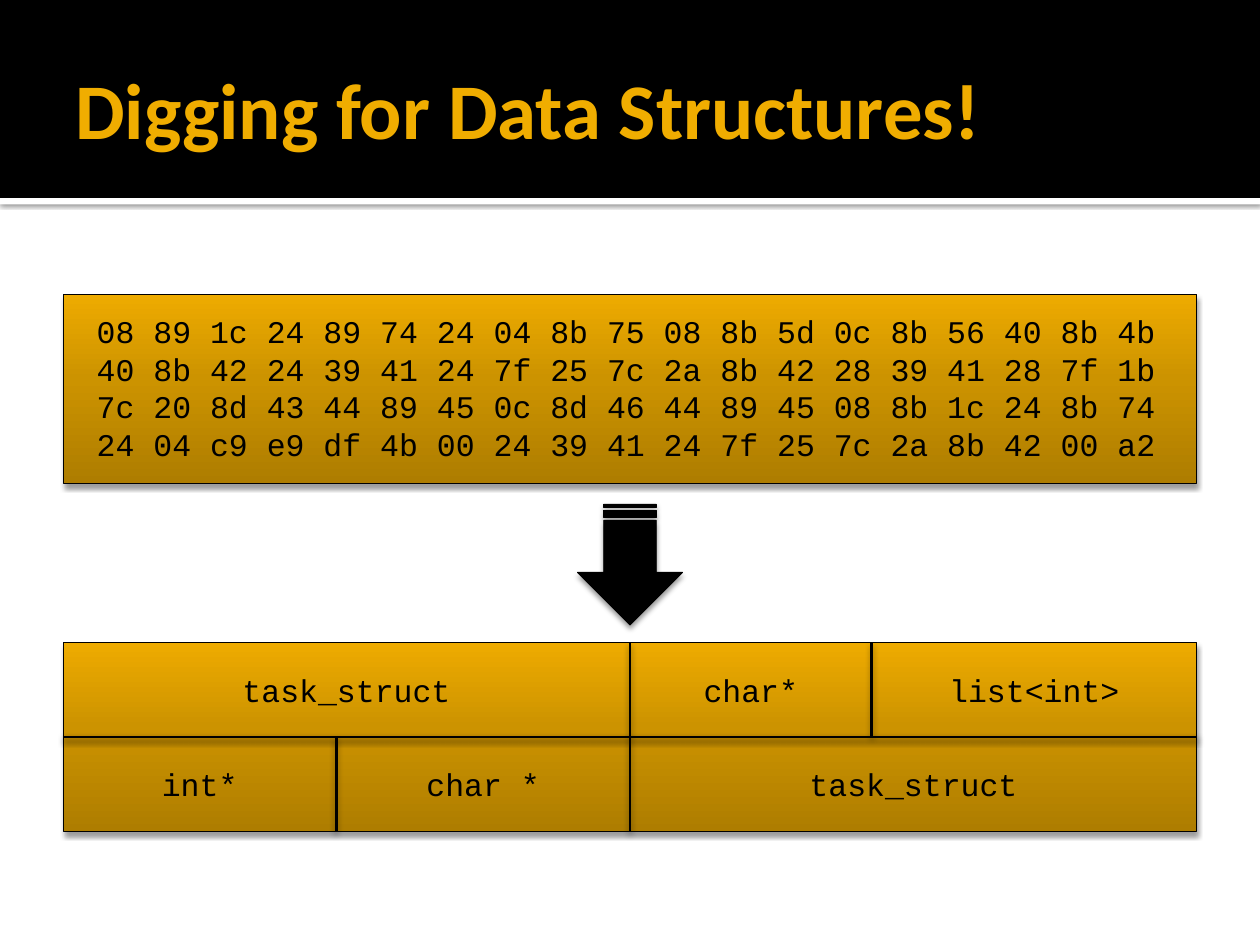
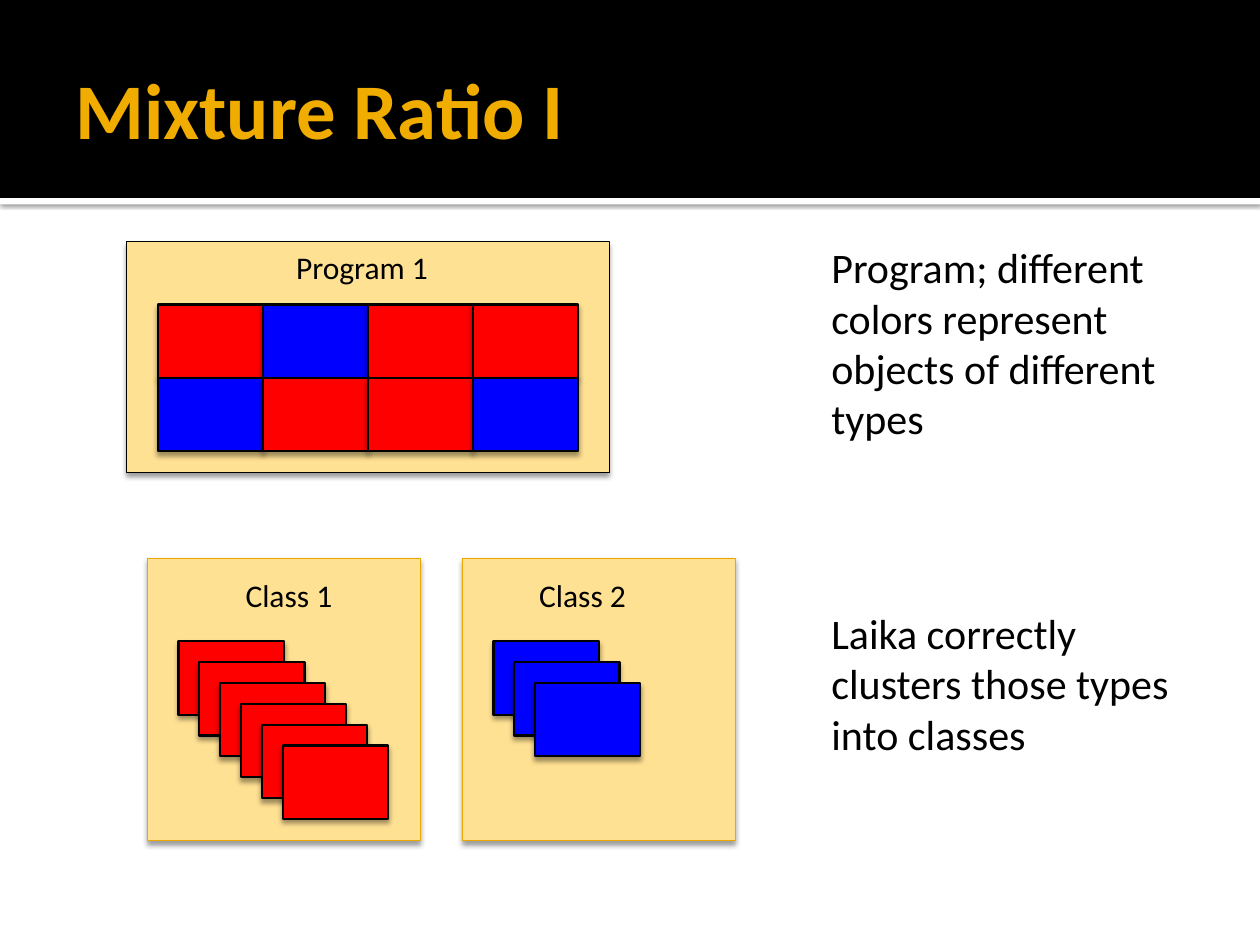
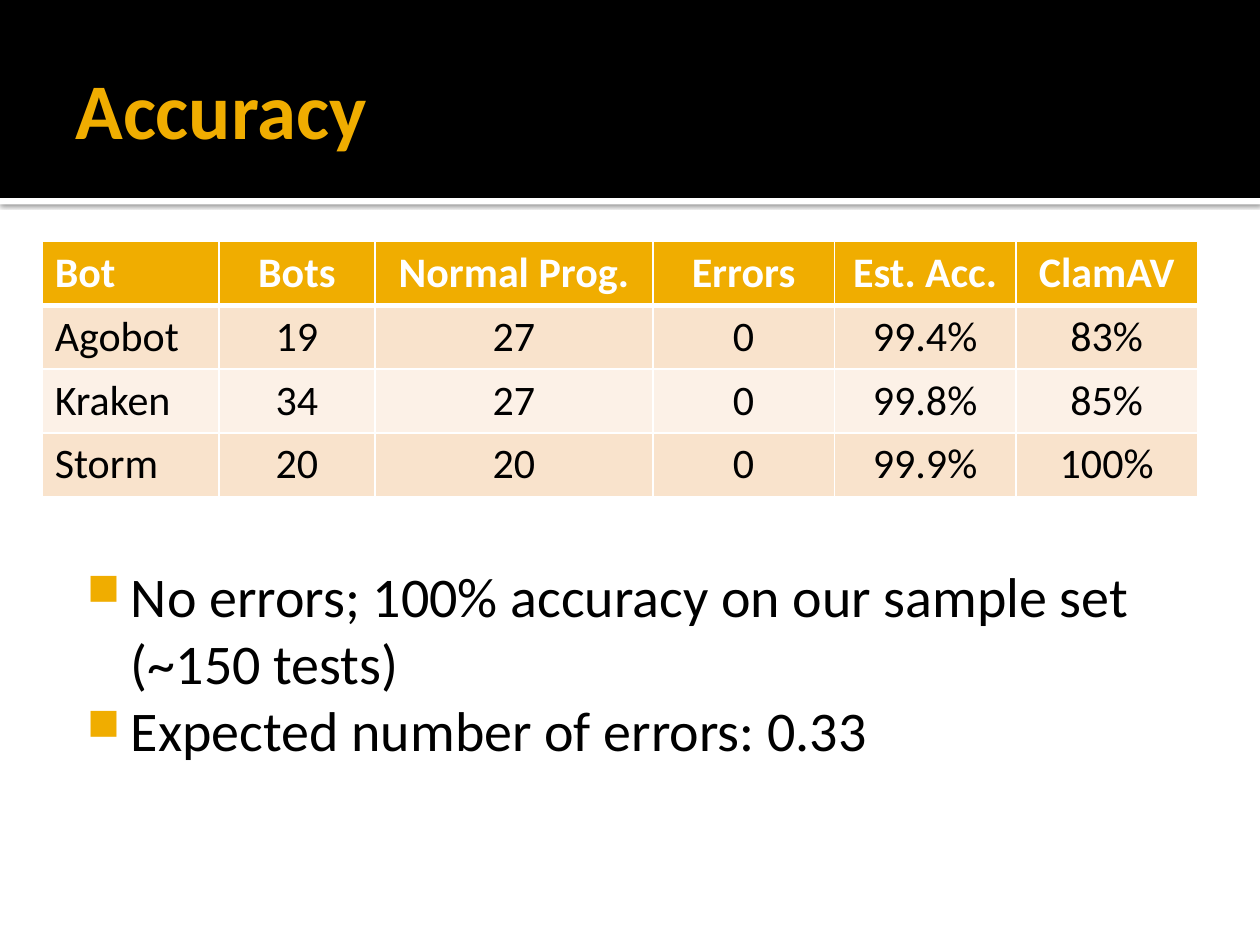
import lxml.etree
import pptx
import pptx.dml.color
import pptx.enum.shapes
import pptx.enum.text
import pptx.oxml
import pptx.oxml.ns
import pptx.util

Cm = pptx.util.Cm
Pt = pptx.util.Pt
SHAPES = pptx.enum.shapes.MSO_SHAPE
LEFT = pptx.enum.text.PP_ALIGN.LEFT
CENTER = pptx.enum.text.PP_ALIGN.CENTER
MIDDLE = pptx.enum.text.MSO_ANCHOR.MIDDLE

BLACK, WHITE, GOLD, CREAM = "000000", "FFFFFF", "F0AD00", "FFE193"
RED, BLUE, PANEL_EDGE = "FF0000", "0000FF", "EBA900"
ROW_FILLS = ["F9E3CC", "FCF1E7"]
MEMORY_GRADIENT = [(0, "AE7D00"), (55, "CC9300"), (100, "EEAB00")]
SOFT_SHADOW = (38, 3.1, 2)
LINE_SHADOW = (38, 3.5, 2)
BAND_SHADOW = (60, 2.5, 0.8)
SLIDE_WIDTH, SLIDE_HEIGHT = 25.4, 19.05
CARD_WIDTH, CARD_HEIGHT, CARD_STEP = 2.12, 1.48, 0.42

HEX_LINES = [
    "08 89 1c 24 89 74 24 04 8b 75 08 8b 5d 0c 8b 56 40 8b 4b",
    "40 8b 42 24 39 41 24 7f 25 7c 2a 8b 42 28 39 41 28 7f 1b",
    "7c 20 8d 43 44 89 45 0c 8d 46 44 89 45 08 8b 1c 24 8b 74",
    "24 04 c9 e9 df 4b 00 24 39 41 24 7f 25 7c 2a 8b 42 00 a2",
]
FIELD_ROWS = [
    [("task_struct", 11.43), ("char*", 4.87), ("list<int>", 6.56)],
    [("int*", 5.51), ("char *", 5.92), ("task_struct", 11.43)],
]
ACCURACY_ROWS = [
    ["Bot", "Bots", "Normal Prog.", "Errors", "Est. Acc.", "ClamAV"],
    ["Agobot", "19", "27", "0", "99.4%", "83%"],
    ["Kraken", "34", "27", "0", "99.8%", "85%"],
    ["Storm", "20", "20", "0", "99.9%", "100%"],
]
ACCURACY_WIDTHS = [3.56, 3.15, 5.6, 3.66, 3.66, 3.66]


def color(hex_text):
    """Turn a hex string into a colour."""
    return pptx.dml.color.RGBColor.from_string(hex_text)


def element(parent, tag, **attributes):
    """Append a drawing element with the given attributes."""
    child = lxml.etree.SubElement(parent, pptx.oxml.ns.qn("a:" + tag))
    for name, value in attributes.items():
        child.set(name, str(value))
    return child


def add_shadow(effects, shadow):
    """Add a downward shadow given as opacity, blur and distance."""
    opacity, blur, distance = shadow
    outer = element(effects, "outerShdw", blurRad=Pt(blur), dist=Pt(distance),
                    dir=5400000, algn="ctr", rotWithShape=0)
    element(element(outer, "srgbClr", val=BLACK), "alpha", val=opacity * 1000)


def add_block(slide, box, fill, line=None, line_width=0.5, shadow=None, kind=SHAPES.RECTANGLE):
    """Add a filled preset shape with an optional outline and shadow."""
    shape = slide.shapes.add_shape(kind, *map(Cm, box))
    shape.shadow.inherit = False
    shape.fill.solid()
    shape.fill.fore_color.rgb = color(fill)
    if line:
        shape.line.color.rgb = color(line)
        shape.line.width = Pt(line_width)
    else:
        shape.line.fill.background()
    if shadow:
        effects = shape._element.spPr.find(pptx.oxml.ns.qn("a:effectLst"))
        add_shadow(effects, shadow)
    return shape


def add_run(paragraph, text, size, font="Calibri", hex_text=BLACK, bold=False):
    """Add one formatted run."""
    run = paragraph.add_run()
    run.text = text
    run.font.size = Pt(size)
    run.font.name = font
    run.font.bold = bold
    run.font.color.rgb = color(hex_text)


def add_text(slide, box, lines, size, alignment=LEFT, **style):
    """Add a wrapping text box with one paragraph per line."""
    frame = slide.shapes.add_textbox(*map(Cm, box)).text_frame
    frame.word_wrap = True
    for index, line in enumerate(lines):
        paragraph = frame.add_paragraph() if index else frame.paragraphs[0]
        paragraph.alignment = alignment
        add_run(paragraph, line, size, **style)
    return frame


def add_titled_slide(presentation, title):
    """Add a blank slide with the black band and its title."""
    slide = presentation.slides.add_slide(presentation.slide_layouts[6])
    add_block(slide, (0, 3.99, SLIDE_WIDTH, 0.13), WHITE, shadow=BAND_SHADOW)
    add_block(slide, (0, 0, SLIDE_WIDTH, 3.99), BLACK)
    frame = add_text(slide, (1.27, 0.43, 22.86, 3.48), [title], 45, hex_text=GOLD, bold=True)
    frame.vertical_anchor = MIDDLE
    frame.margin_right = Cm(0.13)
    return slide


def add_memory(slide, box):
    """Add a gold gradient block of memory."""
    shape = add_block(slide, box, GOLD, BLACK, shadow=SOFT_SHADOW)
    shape.fill.gradient()
    gradient = shape._element.spPr.find(pptx.oxml.ns.qn("a:gradFill"))
    for child in list(gradient):
        gradient.remove(child)
    stops = element(gradient, "gsLst")
    for position, hex_text in MEMORY_GRADIENT:
        element(element(stops, "gs", pos=position * 1000), "srgbClr", val=hex_text)
    element(gradient, "lin", ang=270 * 60000, scaled=0)


def add_divider(slide, start, end):
    """Add a black line between two fields."""
    connector = slide.shapes.add_connector(
        pptx.enum.shapes.MSO_CONNECTOR.STRAIGHT, *map(Cm, start + end))
    connector.line.color.rgb = color(BLACK)
    connector.line.width = Pt(1.5)
    add_shadow(element(connector._element.spPr, "effectLst"), LINE_SHADOW)


def add_hex_dump(slide, box):
    """Add the raw bytes on a block of memory."""
    left, top, width, height = box
    add_memory(slide, box)
    add_text(slide, (left + 0.43, top + 0.23, width - 0.6, height), HEX_LINES, 18,
             font="Courier New")


def add_field_row(slide, box, fields):
    """Add a row of centred type names with dividers between them."""
    left, top, width, height = box
    field_left = left
    for name, field_width in fields:
        if field_left > left:
            add_divider(slide, (field_left, top), (field_left, top + height))
        frame = add_text(slide, (field_left, top, field_width, height), [name], 18,
                         alignment=CENTER, font="Courier New")
        frame.vertical_anchor = MIDDLE
        field_left += field_width


def add_typed_memory(slide, box):
    """Add a block of memory divided into typed fields."""
    left, top, width, height = box
    row_height = height / len(FIELD_ROWS)
    add_memory(slide, box)
    for index, fields in enumerate(FIELD_ROWS):
        row_top = top + index * row_height
        if index:
            add_divider(slide, (left, row_top), (left + width, row_top))
        add_field_row(slide, (left, row_top, width, row_height), fields)


def add_card(slide, left, top, fill):
    """Add one object card."""
    add_block(slide, (left, top, CARD_WIDTH, CARD_HEIGHT), fill, BLACK, 1.25, SOFT_SHADOW)


def add_program(slide, box):
    """Add the program panel with its grid of mixed objects."""
    left, top, width, height = box
    add_block(slide, box, CREAM, BLACK, shadow=SOFT_SHADOW)
    grid = [[RED, BLUE, RED, RED], [BLUE, RED, RED, BLUE]]
    for row, fills in enumerate(grid):
        for column, fill in enumerate(fills):
            add_card(slide, left + 0.64 + column * CARD_WIDTH,
                     top + 1.27 + row * CARD_HEIGHT, fill)
    add_text(slide, (left + 3.18, top, 3.26, 1.02), ["Program 1"], 18)


def add_class(slide, box, name, name_left, fill, count):
    """Add a class panel with a cascade of like objects."""
    left, top, width, height = box
    add_block(slide, box, CREAM, PANEL_EDGE, shadow=SOFT_SHADOW)
    for index in range(count):
        add_card(slide, left + 0.63 + index * CARD_STEP,
                 top + 1.68 + index * CARD_STEP, fill)
    add_text(slide, (left + name_left, top + 0.23, 2.5, 1.02), [name], 18)


def set_borders(cell, top, bottom):
    """Give a cell white borders with the given top and bottom widths."""
    properties = cell._tc.get_or_add_tcPr()
    for tag, width in (("lnL", 1), ("lnR", 1), ("lnT", top), ("lnB", bottom)):
        line = element(properties, tag, w=Pt(width))
        element(element(line, "solidFill"), "srgbClr", val=WHITE)


def add_accuracy_table(slide, box):
    """Add the table of detection results."""
    rows = len(ACCURACY_ROWS)
    table = slide.shapes.add_table(rows, len(ACCURACY_WIDTHS), *map(Cm, box)).table
    for column, width in zip(table.columns, ACCURACY_WIDTHS):
        column.width = Cm(width)
    for row, values in enumerate(ACCURACY_ROWS):
        table.rows[row].height = Cm(box[3] / rows)
        header = row == 0
        for column, value in enumerate(values):
            cell = table.cell(row, column)
            set_borders(cell, 3 if row == 1 else 1, 3 if header else 1)
            cell.fill.solid()
            cell.fill.fore_color.rgb = color(GOLD if header else ROW_FILLS[(row - 1) % 2])
            paragraph = cell.text_frame.paragraphs[0]
            paragraph.alignment = CENTER if column else LEFT
            add_run(paragraph, value, 24, hex_text=WHITE if header else BLACK, bold=header)


def add_findings(slide, box, lines):
    """Add a list with gold square bullets."""
    frame = add_text(slide, box, lines, 32)
    frame.margin_left = Cm(0.15)
    frame.margin_top = Cm(0.25)
    for paragraph in frame.paragraphs:
        properties = paragraph._p.get_or_add_pPr()
        properties.set("marL", str(Cm(1.22)))
        properties.set("indent", str(Cm(-0.89)))
        element(element(properties, "buClr"), "srgbClr", val=GOLD)
        element(properties, "buSzPct", val=80000)
        element(properties, "buChar", char="■")


def build_digging_slide(presentation):
    """Show raw bytes turning into typed data structures."""
    slide = add_titled_slide(presentation, "Digging for Data Structures!")
    add_hex_dump(slide, (1.27, 5.93, 22.86, 3.81))
    add_typed_memory(slide, (1.27, 12.95, 22.86, 3.81))
    arrow = add_block(slide, (11.48, 10.32, 2.44, 2.12), BLACK, BLACK,
                      shadow=SOFT_SHADOW, kind=SHAPES.STRIPED_RIGHT_ARROW)
    arrow.rotation = 90


def build_mixture_slide(presentation):
    """Show a program's objects sorted into classes."""
    slide = add_titled_slide(presentation, "Mixture Ratio I")
    add_program(slide, (2.54, 4.87, 9.74, 4.66))
    add_class(slide, (2.97, 11.25, 5.5, 5.7), "Class 1", 1.73, RED, 6)
    add_class(slide, (9.32, 11.25, 5.5, 5.7), "Class 2", 1.3, BLUE, 3)
    add_text(slide, (16.51, 4.75, 7.62, 4.37),
             ["Program; different colors represent objects of different types"], 24)
    add_text(slide, (16.51, 12.12, 7.62, 3.33),
             ["Laika correctly clusters those types into classes"], 24)


def build_accuracy_slide(presentation):
    """Show the results table and its findings."""
    slide = add_titled_slide(presentation, "Accuracy")
    add_accuracy_table(slide, (0.85, 4.87, sum(ACCURACY_WIDTHS), 5.14))
    add_findings(slide, (1.27, 11.07, 22.86, 6.3), [
        "No errors; 100% accuracy on our sample set (~150 tests)",
        "Expected number of errors: 0.33",
    ])


def main():
    """Build the presentation."""
    presentation = pptx.Presentation()
    presentation.slide_width = Cm(SLIDE_WIDTH)
    presentation.slide_height = Cm(SLIDE_HEIGHT)
    build_digging_slide(presentation)
    build_mixture_slide(presentation)
    build_accuracy_slide(presentation)
    presentation.save("out.pptx")


if __name__ == "__main__":
    main()
